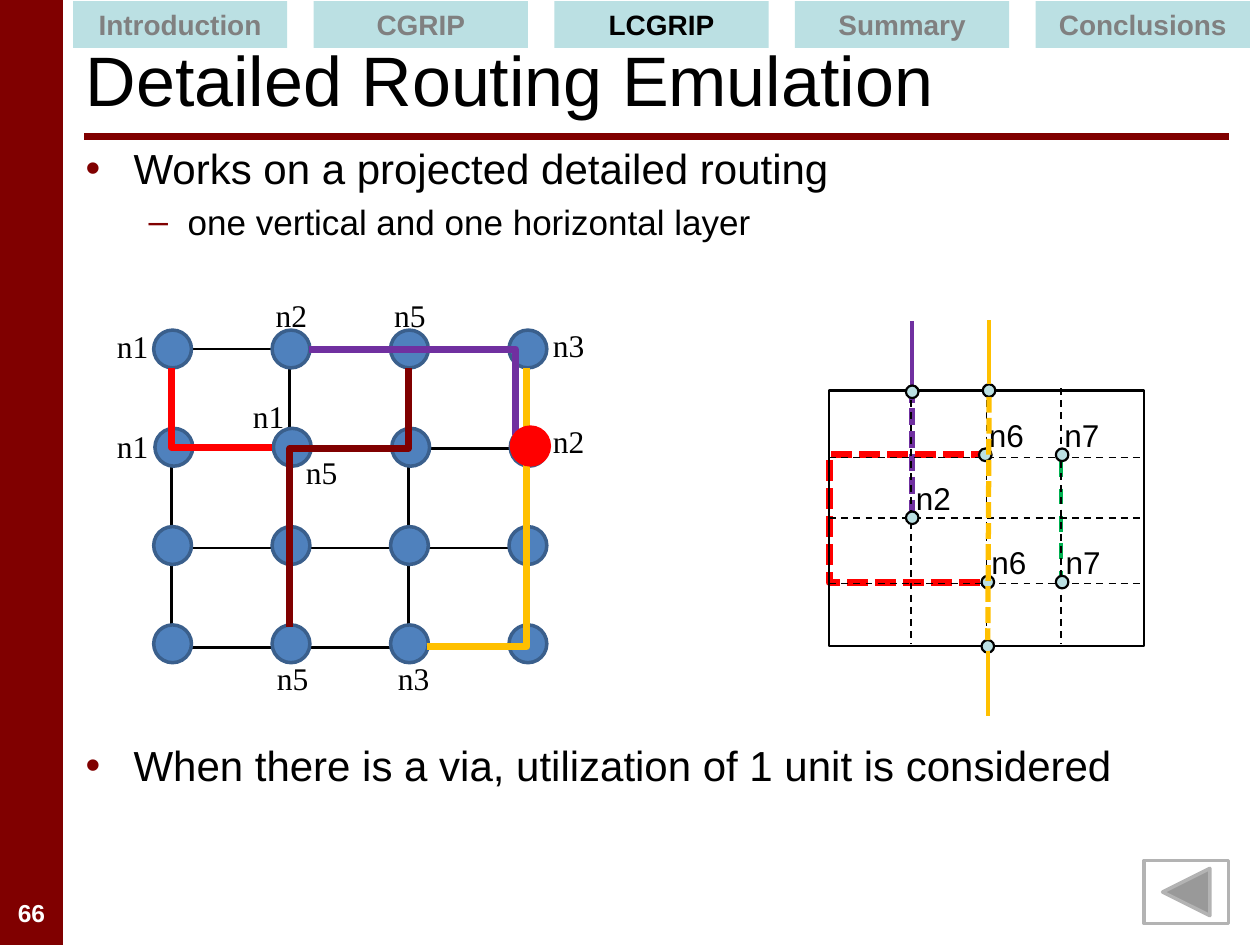
from lxml.etree import SubElement as Sub
from pptx import Presentation
from pptx.dml.color import RGBColor as RGB
from pptx.enum.dml import MSO_LINE as Dash
from pptx.enum.shapes import MSO_CONNECTOR as Conn, MSO_SHAPE as Geo
from pptx.enum.text import MSO_ANCHOR as Anchor, MSO_AUTO_SIZE as Fit, PP_ALIGN as Align
from pptx.oxml.ns import qn
from pptx.util import Inches, Pt

# Content
HUE = {"dark": "800000", "ink": "000000", "dim": "808080", "tab": "BBE0E3",
       "node": "4F81BD", "rim": "3A5F8C", "red": "FF0000", "plum": "7030A0",
       "gold": "FFC000", "green": "00B050", "white": "FFFFFF", "grey": "B3B3B3"}
TITLE = "Detailed Routing Emulation"
# text, size, space before, left margin, hanging indent, bullet, level
BODY = [("Works on a projected detailed routing", 24, 4, 0.38, 0.38, "•", 0),
        ("one vertical and one horizontal layer", 20, 4.5, 0.81, 0.31, "–", 1),
        ("When there is a via, utilization of 1 unit is considered",
         24, 284, 0.38, 0.38, "•", 0)]
TABS = ["Introduction", "CGRIP", "LCGRIP", "Summary", "Conclusions"]
ACTIVE = "LCGRIP"
PAGE = "66"

# Coarse grid: labels and routes
NETS = [("n1", 0.83, 2.55), ("n1", 0.83, 3.34), ("n1", 1.91, 3.1),
        ("n2", 2.09, 2.3), ("n5", 2.33, 3.55), ("n2", 4.29, 3.3),
        ("n3", 4.29, 2.54), ("n3", 3.06, 5.18), ("n5", 2.1, 5.18),
        ("n5", 3.03, 2.3)]
ROUTES = [("red", [(1.36, 2.92), (1.36, 3.55), (2.16, 3.55)]),
          ("plum", [(2.45, 2.77), (4.09, 2.77), (4.09, 3.45)]),
          ("gold", [(4.18, 2.92), (4.18, 5.13), (3.39, 5.13)]),
          ("dark", [(3.24, 2.92), (3.24, 3.56), (2.3, 3.56), (2.3, 4.98)])]

# Fine grid: tracks, pins and labels
CELL = (6.58, 3.1, 2.5, 2.03)
COLS, ROWS = (7.23, 7.83, 8.42), (3.63, 4.11, 4.63)
LOOP = [(7.87, 3.61), (6.58, 3.61), (6.58, 4.62), (7.79, 4.62)]
PINS = [(7.24, 4.11), (7.82, 3.61), (8.43, 4.62), (8.43, 3.61), (7.84, 4.62),
        (7.24, 3.11), (7.85, 3.1), (7.84, 5.13)]
TAGS = [("n2", 7.17, 3.75), ("n6", 7.75, 3.25), ("n7", 8.36, 4.26),
        ("n7", 8.35, 3.25), ("n6", 7.77, 4.26)]

prs = Presentation()
prs.slide_width, prs.slide_height = Inches(10), Inches(7.5)
slide = prs.slides.add_slide(prs.slide_layouts[1])
shapes = slide.shapes


def tint(hue):
    return RGB.from_string(HUE[hue])


def box(at):
    return [Inches(v) for v in at]


def style(font, size, hue="ink", face="Arial", bold=False):
    font.size, font.name, font.bold = Pt(size), face, bold
    font.color.rgb = tint(hue)


def stroke(line, hue, width, dash=None):
    line.color.rgb, line.width = tint(hue), Pt(width)
    if dash:
        line.dash_style = dash


def shape(geo, at, fill=None, hue=None, width=1):
    item = shapes.add_shape(geo, *box(at))
    item.shadow.inherit = False
    if fill:
        item.fill.solid()
        item.fill.fore_color.rgb = tint(fill)
    else:
        item.fill.background()
    if hue:
        stroke(item.line, hue, width)
    else:
        item.line.fill.background()
    return item


def disc(x, y, size, fill, hue, width):
    shape(Geo.OVAL, (x - size / 2, y - size / 2, size, size), fill, hue, width)


def wire(x1, y1, x2, y2, hue="ink", width=1.5, dash=None):
    item = shapes.add_connector(Conn.STRAIGHT, *box((x1, y1, x2, y2)))
    stroke(item.line, hue, width, dash)
    Sub(item._element.spPr, qn("a:effectLst"))


def route(pts, hue, dash=None):
    first, *rest = [box(p) for p in pts]
    pen = shapes.build_freeform(*first)
    pen.add_line_segments(rest, close=False)
    item = pen.convert_to_shape()
    item.shadow.inherit = False
    item.fill.background()
    stroke(item.line, hue, 4, dash)


def label(text, x, y, face):
    frame = shapes.add_textbox(*box((x, y, 0.5, 0.4))).text_frame
    frame.word_wrap = False
    frame.auto_size = Fit.SHAPE_TO_FIT_TEXT
    frame.text = text
    style(frame.paragraphs[0].runs[0].font, 18, face=face)


def centre(frame, text, size, hue):
    frame.text = text
    para = frame.paragraphs[0]
    para.alignment = Align.CENTER
    style(para.runs[0].font, size, hue, bold=True)


def place(item, at):
    item.left, item.top, item.width, item.height = box(at)
    item.text_frame.auto_size = Fit.NONE
    return item.text_frame


# Side band, rule and page number
shape(Geo.RECTANGLE, (0, 0, 0.5, 7.5), "dark")
wire(0.67, 1.08, 9.75, 1.08, "dark", 4)
page = shapes.add_textbox(*box((0, 7.08, 0.5, 0.33))).text_frame
page.word_wrap = True
centre(page, PAGE, 14, "white")

# Title and body
frame = place(shapes.title, (0.58, 0.08, 9.17, 1.08))
frame.text, frame.vertical_anchor = TITLE, Anchor.MIDDLE
frame.paragraphs[0].alignment = Align.LEFT
style(frame.paragraphs[0].runs[0].font, 40)

frame = place(slide.placeholders[1], (0.58, 1.08, 9.17, 1.25))
frame.text = "\n".join(row[0] for row in BODY)
for para, (_, size, gap, left, hang, mark, level) in zip(frame.paragraphs, BODY):
    para.level, para.space_before = level, Pt(gap)
    style(para.runs[0].font, size)
    props = para._p.get_or_add_pPr()
    props.set("marL", str(Inches(left)))
    props.set("indent", str(-Inches(hang)))
    Sub(Sub(props, qn("a:buClr")), qn("a:srgbClr")).set("val", HUE["dark"])
    Sub(props, qn("a:buFont")).set("typeface", "Arial")
    Sub(props, qn("a:buChar")).set("char", mark)

# Coarse grid with its nodes
for i in range(4):
    x, y = 1.36 + 0.94 * i, 2.77 + 0.79 * i
    wire(x, 2.77, x, 5.17)
    wire(1.36, y, 4.13, y)
for row in range(4):
    for col in range(4):
        shift = 0.01 if row == 1 else 0
        disc(1.37 + 0.94 * col + shift, 2.77 + 0.78 * row, 0.3, "node", "rim", 2)
for text, x, y in NETS:
    label(text, x, y, "Times New Roman")
for hue, pts in ROUTES:
    route(pts, hue)

# Fine grid with its tracks, tags and pins
route(LOOP, "red", Dash.SQUARE_DOT)
wire(7.24, 3.06, 7.24, 4.06, "plum", 3.25, Dash.SQUARE_DOT)
wire(8.42, 3.66, 8.42, 4.57, "green", 2.25, Dash.DASH)
wire(7.24, 3.11, 7.24, 2.55, "plum", 2.25)
shape(Geo.RECTANGLE, CELL, None, "ink", 1.25)
for x in COLS:
    wire(x, 3.08, x, 5.11, width=1, dash=Dash.DASH)
for y in ROWS:
    wire(6.58, y, 9.08, y, width=1, dash=Dash.DASH)
for text, x, y in TAGS:
    label(text, x, y, "Arial")
for x, y in PINS:
    disc(x, y, 0.1, "tab", "ink", 1.25)
wire(7.85, 3.05, 7.85, 2.54, "gold", 2.25)
wire(7.84, 5.68, 7.84, 5.17, "gold", 2.25)
wire(7.85, 3.15, 7.84, 5.08, "gold", 3, Dash.SQUARE_DOT)

# Via and back button
disc(4.21, 3.54, 0.3, "red", "red", 2)
shape(Geo.ACTION_BUTTON_BACK_OR_PREVIOUS, (9.08, 6.83, 0.67, 0.5), "white", "grey", 2)

# Section tabs
for i, name in enumerate(TABS):
    tab = shape(Geo.RECTANGLE, (0.58 + 1.91 * i, 0.01, 1.7, 0.37), "tab")
    centre(tab.text_frame, name, 16, "ink" if name == ACTIVE else "dim")

prs.save("out.pptx")
